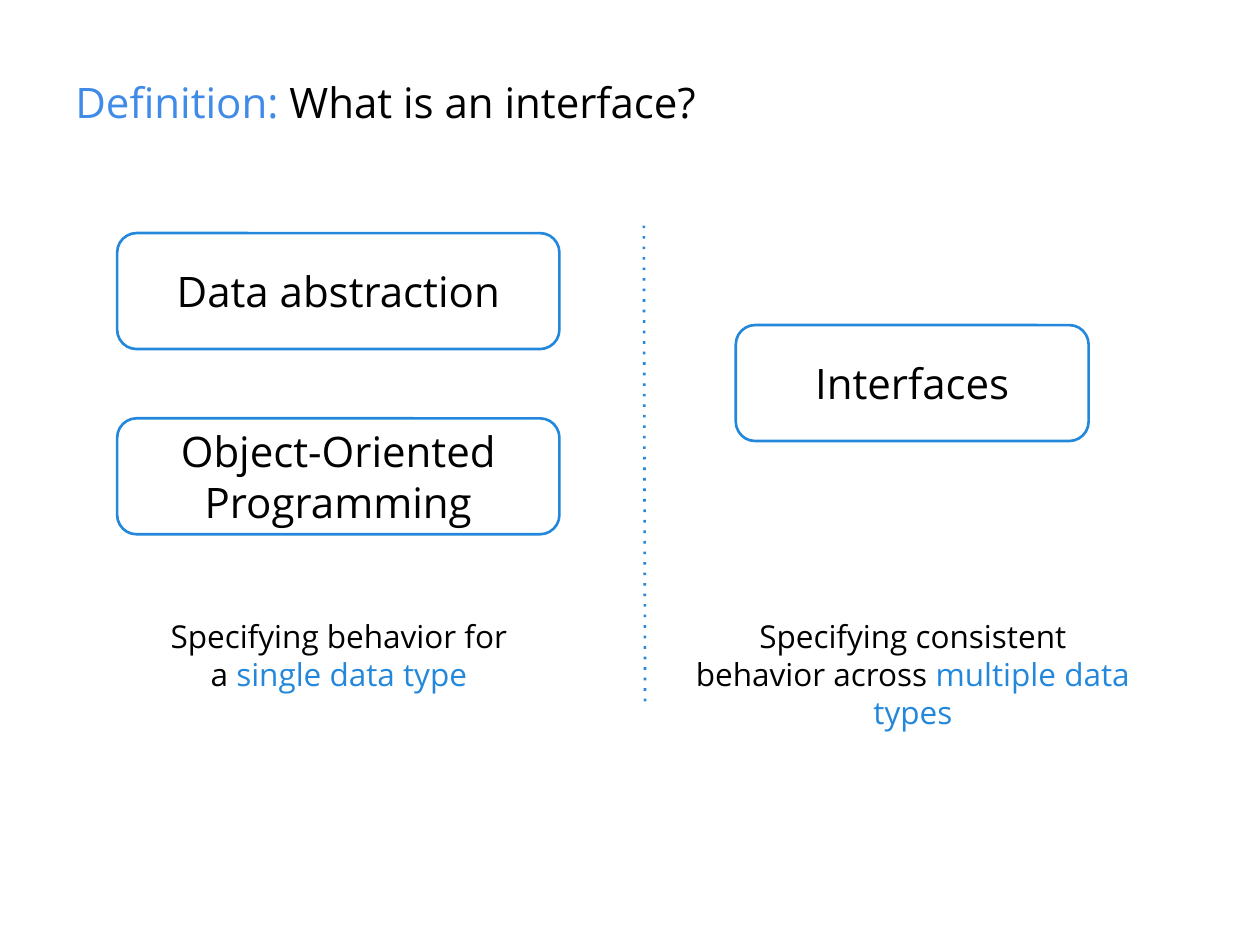
from lxml.etree import SubElement
from pptx import Presentation
from pptx.dml.color import RGBColor
from pptx.enum.shapes import MSO_CONNECTOR, MSO_SHAPE
from pptx.enum.text import MSO_ANCHOR, PP_ALIGN
from pptx.oxml.ns import qn
from pptx.util import Inches, Pt

BLACK, BLUE, TITLE_BLUE = "000000", "2388DB", "418BE8"


def rgb(value):
    return RGBColor.from_string(value)


class SlideBuilder:
    """Draws styled elements on the current slide."""

    font = "Open Sans"
    line_width = Pt(1.5)

    def __init__(self, s):
        self.s = s

    def fill_text(self, sp, runs, size, align, anchor):
        tf = sp.text_frame
        frame_format = {"word_wrap": True, "vertical_anchor": anchor}
        for side in ("left", "right", "top", "bottom"):
            frame_format[f"margin_{side}"] = Inches(0.1)
        for name, value in frame_format.items():
            setattr(tf, name, value)
        p = tf.paragraphs[0]
        p.alignment = align
        for text, color in runs:
            r = p.add_run()
            r.text = text
            for name, value in {"name": self.font, "size": Pt(size)}.items():
                setattr(r.font, name, value)
            r.font.color.rgb = rgb(color)

    def text(self, box, runs, size=18, align=PP_ALIGN.CENTER, anchor=MSO_ANCHOR.TOP):
        sp = self.s.shapes.add_textbox(*map(Inches, box))
        self.fill_text(sp, runs, size, align, anchor)

    def rounded_box(self, box, label):
        sp = self.s.shapes.add_shape(MSO_SHAPE.ROUNDED_RECTANGLE, *map(Inches, box))
        sp.shadow.inherit = False
        sp.fill.background()
        sp.line.color.rgb = rgb(BLUE)
        sp.line.width = self.line_width
        self.fill_text(sp, [(label, BLACK)], 24, PP_ALIGN.CENTER, MSO_ANCHOR.MIDDLE)

    def dotted_line(self, ends):
        sp = self.s.shapes.add_connector(MSO_CONNECTOR.STRAIGHT, *map(Inches, ends))
        sp.line.color.rgb = rgb(BLUE)
        sp.line.width = self.line_width
        props = sp._element.spPr
        SubElement(props.find(qn("a:ln")), qn("a:prstDash")).set("val", "dot")
        SubElement(props, qn("a:effectLst"))


def main():
    prs = Presentation()
    prs.slide_width, prs.slide_height = Inches(10), Inches(7.5)
    builder = SlideBuilder(prs.slides.add_slide(prs.slide_layouts[6]))

    builder.text(
        (0.5, 0.24, 9, 0.87),
        [("Definition:", TITLE_BLUE), (" What is an interface?", BLACK)],
        24, PP_ALIGN.LEFT, MSO_ANCHOR.BOTTOM,
    )
    for left, top, width, label in (
        (0.93, 3.32, 3.51, "Object-Oriented Programming"),
        (0.93, 1.85, 3.51, "Data abstraction"),
        (5.84, 2.58, 2.8, "Interfaces"),
    ):
        builder.rounded_box((left, top, width, 0.92), label)
    for left, width, lead, emphasis in (
        (1.25, 2.88, "Specifying behavior for a ", "single data type"),
        (5.42, 3.65, "Specifying consistent behavior across ", "multiple data types"),
    ):
        builder.text((left, 4.8, width, 1), [(lead, BLACK), (emphasis, BLUE)])
    builder.dotted_line((5.11, 1.79, 5.12, 5.6))

    prs.save("out.pptx")


if __name__ == "__main__":
    main()
